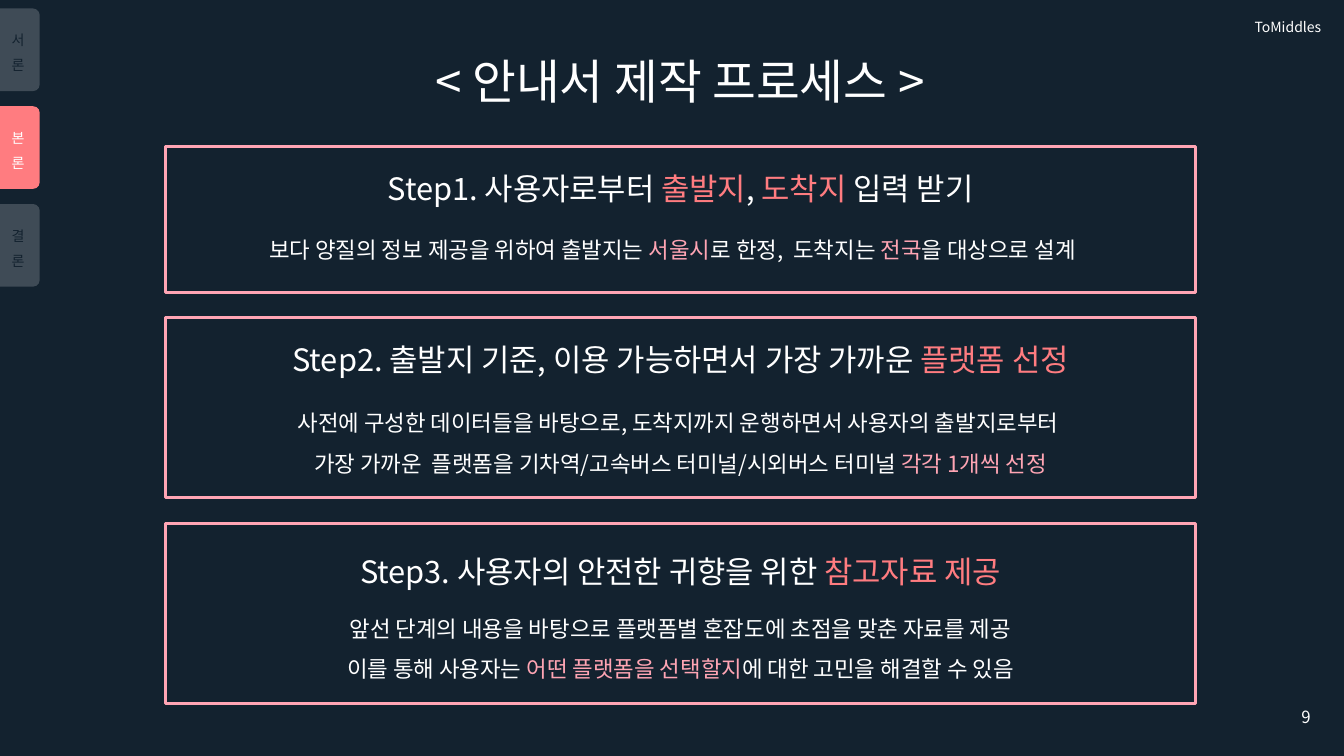
"""Build the guide-making process slide with its section tabs and three steps."""
from dataclasses import dataclass

from lxml import etree
from pptx import Presentation
from pptx import util as u
from pptx.dml.color import RGBColor
from pptx.enum import shapes, text
from pptx.oxml.ns import qn


@dataclass(frozen=True)
class Theme:
    """Colours, type sizes and font of the slide."""
    navy: str = "13222F"
    white: str = "FFFFFF"
    coral: str = "FF7C80"
    pink: str = "FFA5B4"
    font: str = "Noto Sans CJK KR"
    small: int = 10
    number: int = 12
    body: int = 16
    heading: int = 22
    title: int = 34
    border: float = 2.25
    veil: int = 81


class Board:
    """Draws styled elements on one slide, placed in percent of its size."""

    def __init__(self, presentation, theme):
        """Add a blank slide with the theme background."""
        self.theme = theme
        self.width, self.height = presentation.slide_width, presentation.slide_height
        self.slide = presentation.slides.add_slide(presentation.slide_layouts[6])
        fill = self.slide.background.fill
        fill.solid()
        fill.fore_color.rgb = RGBColor.from_string(theme.navy)

    def box(self, left, top, width, height):
        """Turn percentages into slide lengths."""
        return (round(left * self.width / 100), round(top * self.height / 100),
                round(width * self.width / 100), round(height * self.height / 100))

    def shape(self, kind, box, fill=None, line=None):
        """Add a preset shape with an optional fill and border."""
        shape = self.slide.shapes.add_shape(kind, *box)
        shape.shadow.inherit = False
        if fill:
            shape.fill.solid()
            shape.fill.fore_color.rgb = RGBColor.from_string(fill)
        else:
            shape.fill.background()
        if line:
            shape.line.color.rgb = RGBColor.from_string(line)
            shape.line.width = u.Pt(self.theme.border)
        else:
            shape.line.fill.background()
        return shape

    def tab(self, box, fill):
        """Add a tab on the left edge, rounded on its right side."""
        left, top, width, height = box
        turned = (left + (width - height) // 2, top + (height - width) // 2, height, width)
        self.shape(shapes.MSO_SHAPE.ROUND_2_SAME_RECTANGLE, turned, fill).rotation = 90

    def veil(self, box):
        """Dim an area with a translucent background colour."""
        shape = self.shape(shapes.MSO_SHAPE.RECTANGLE, box, self.theme.navy)
        colour = shape.fill._xPr.find(".//" + qn("a:srgbClr"))
        etree.SubElement(colour, qn("a:alpha")).set("val", str(self.theme.veil * 1000))

    def panel(self, box):
        """Add an outlined panel."""
        self.shape(shapes.MSO_SHAPE.RECTANGLE, box, line=self.theme.pink)

    def text(self, box, lines, size, align=text.PP_ALIGN.CENTER, spacing=1.0,
             anchor=text.MSO_ANCHOR.TOP):
        """Add a text box from lines of (words, colour) runs."""
        frame = self.slide.shapes.add_textbox(*box).text_frame
        frame.word_wrap = True
        frame.vertical_anchor = anchor
        for index, runs in enumerate(lines):
            paragraph = frame.add_paragraph() if index else frame.paragraphs[0]
            paragraph.alignment = align
            paragraph.line_spacing = spacing
            for words, colour in runs:
                run = paragraph.add_run()
                run.text = words
                run.font.size = u.Pt(size)
                run.font.color.rgb = RGBColor.from_string(colour)
                run.font.name = self.theme.font
                east_asian = etree.SubElement(run._r.get_or_add_rPr(), qn("a:ea"))
                east_asian.set("typeface", self.theme.font)


THEME = Theme()
WHITE, CORAL, PINK = THEME.white, THEME.coral, THEME.pink
PANEL_LEFT, PANEL_WIDTH, PANEL_GAP = 12.3, 76.67, 3.33
TAB_TOP, TAB_PITCH = 1.13, 12.93
ACTIVE_TAB = "본론"

STEPS = [
    dict(height=19.33, heading_top=2.4, detail_top=11.2, shift=-0.6, spacing=1.0,
         heading=[("Step1. 사용자로부터 ", WHITE), ("출발지", CORAL), (", ", WHITE),
                  ("도착지", CORAL), (" 입력 받기", WHITE)],
         detail=[[("보다 양질의 정보 제공을 위하여 출발지는 ", WHITE), ("서울시", PINK),
                  ("로 한정,  도착지는 ", WHITE), ("전국", PINK),
                  ("을 대상으로 설계", WHITE)]]),
    dict(height=23.87, heading_top=2.4, detail_top=9.73, shift=0, spacing=1.5,
         heading=[("Step2. 출발지 기준, 이용 가능하면서 가장 가까운", WHITE),
                  (" 플랫폼 선정", CORAL)],
         detail=[[("사전에 구성한 데이터들을 바탕으로, 도착지까지 운행하면서 "
                   "사용자의 출발지로부터 ", WHITE)],
                 [("가장 가까운  플랫폼을 기차역/고속버스 터미널/시외버스 터미널 ", WHITE),
                  ("각각 1개씩 선정", PINK)]]),
    dict(height=23.87, heading_top=3.33, detail_top=9.73, shift=0, spacing=1.5,
         heading=[("Step3. 사용자의 안전한 귀향을 위한 ", WHITE), ("참고자료 제공", CORAL)],
         detail=[[("앞선 단계의 내용을 바탕으로 플랫폼별 혼잡도에 초점을 맞춘 자료를 제공",
                   WHITE)],
                 [("이를 통해 사용자는 ", WHITE), ("어떤 플랫폼을 선택할지", PINK),
                  ("에 대한 고민을 해결할 수 있음", WHITE)]]),
]

presentation = Presentation()
presentation.slide_width, presentation.slide_height = u.Inches(13.33), u.Inches(7.5)
board = Board(presentation, THEME)

board.text(board.box(85.3, 1.73, 13.73, 3.6), [[("ToMiddles", WHITE)]], THEME.small,
           text.PP_ALIGN.RIGHT)

for index, section in enumerate(["서론", ACTIVE_TAB, "결론"]):
    active = section == ACTIVE_TAB
    top = TAB_TOP + index * TAB_PITCH
    board.tab(board.box(0, top, 2.95, 10.93), CORAL if active else WHITE)
    if not active:
        board.veil(board.box(0, top - TAB_TOP, 3.5, 13.47))
    colour = WHITE if active else THEME.navy
    board.text(board.box(0, top + 1.27, 2.7, 7.73),
               [[(letter, colour)] for letter in section], THEME.small, spacing=1.5)

board.text(board.box(0.6, 2.4, 100, 11.73), [[("< 안내서 제작 프로세스 >", WHITE)]],
           THEME.title, spacing=1.5)

top = 19.33
for step in STEPS:
    board.panel(board.box(PANEL_LEFT, top, PANEL_WIDTH, step["height"]))
    board.text(board.box(PANEL_LEFT, top + step["heading_top"], PANEL_WIDTH, 6.27),
               [step["heading"]], THEME.heading)
    board.text(board.box(PANEL_LEFT + step["shift"], top + step["detail_top"], PANEL_WIDTH,
                         step["height"] - step["detail_top"]),
               step["detail"], THEME.body, spacing=step["spacing"])
    top += step["height"] + PANEL_GAP

board.text(board.box(75.77, 92.13, 22.5, 5.33), [[("9", WHITE)]], THEME.number,
           text.PP_ALIGN.RIGHT, anchor=text.MSO_ANCHOR.MIDDLE)

presentation.save("out.pptx")
